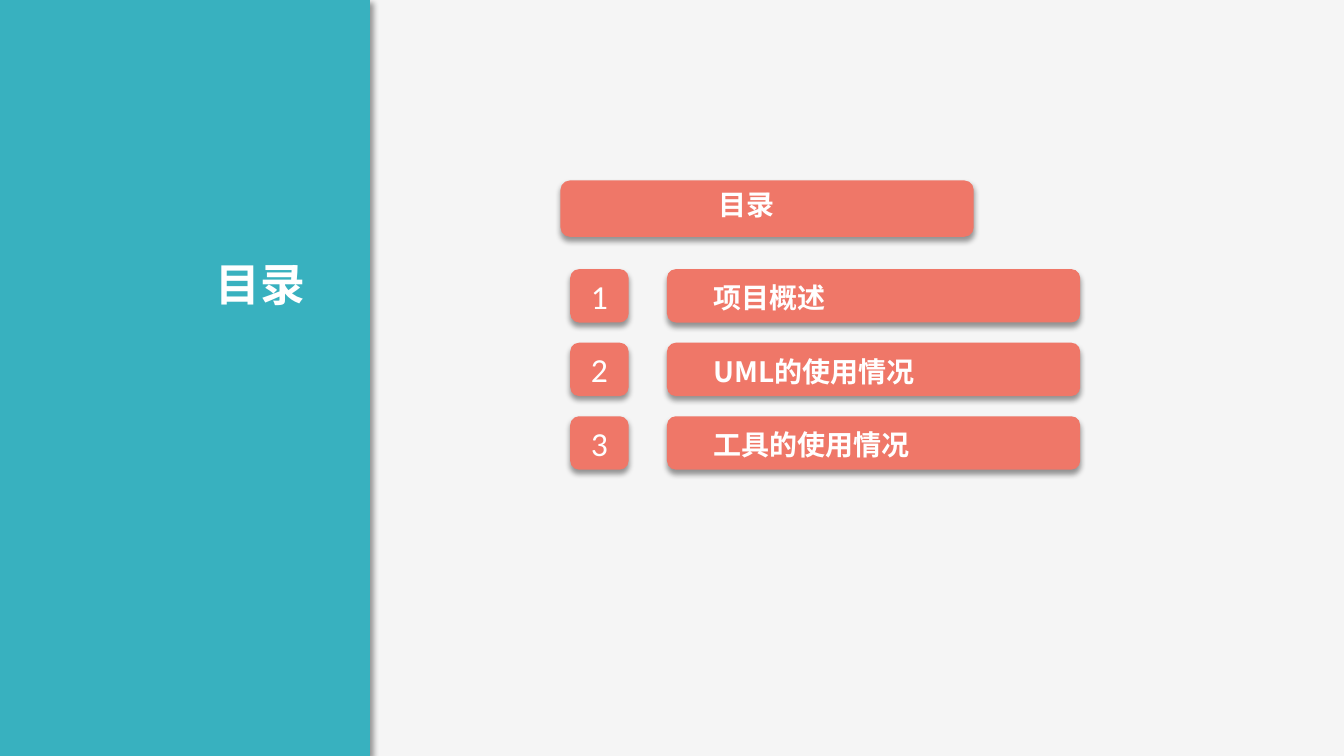
from lxml.etree import SubElement
from pptx import Presentation
from pptx.dml.color import RGBColor
from pptx.enum.shapes import MSO_SHAPE
from pptx.enum.text import MSO_ANCHOR, MSO_AUTO_SIZE, PP_ALIGN
from pptx.oxml.ns import qn
from pptx.util import Inches, Pt

COLORS = {"ground": "F5F5F5", "panel": "38B1BF", "bar": "EF7768",
          "text": "FFFFFF", "shadow": "000000"}
HEADING_FONT = "Noto Sans CJK SC"
NUMBER_FONT = "Calibri"
COLUMNS, ROWS = 40, 30


class ContentsSlide:
    """Draws the parts of a contents slide on a grid of 40 columns and 30 rows."""

    def __init__(self, deck):
        self.column = deck.slide_width / COLUMNS
        self.row = deck.slide_height / ROWS
        self.slide = deck.slides.add_slide(deck.slide_layouts[5])
        self.shapes = self.slide.shapes
        ground = self.slide.background.fill
        ground.solid()
        ground.fore_color.rgb = self.color("ground")

    def color(self, name):
        return RGBColor.from_string(COLORS[name])

    def place(self, left, top, width, height):
        return (round(left * self.column), round(top * self.row),
                round(width * self.column), round(height * self.row))

    def block(self, parent, preset, area, color, angle):
        block = parent.add_shape(preset, *self.place(*area))
        block.fill.solid()
        block.fill.fore_color.rgb = self.color(color)
        block.line.fill.background()
        block.shadow.inherit = False
        effects = block._element.spPr.find(qn("a:effectLst"))
        cast = SubElement(effects, qn("a:outerShdw"), blurRad=str(Pt(4)),
                          dist=str(Pt(3)), dir=str(angle * 60000),
                          algn="ctr", rotWithShape="0")
        tint = SubElement(cast, qn("a:srgbClr"), val=COLORS["shadow"])
        SubElement(tint, qn("a:alpha"), val="40000")
        return block

    def letter(self, holder, words, size, font, align, anchor, bold=True):
        frame = holder.text_frame
        frame.word_wrap = True
        frame.vertical_anchor = anchor
        frame.margin_left = frame.margin_right = Inches(0.13)
        frame.margin_top = frame.margin_bottom = Inches(0.07)
        paragraph = frame.paragraphs[0]
        paragraph.alignment = align
        run = paragraph.add_run()
        run.text = words
        run.font.size = Pt(size)
        run.font.bold = bold
        run.font.name = font
        run.font.color.rgb = self.color("text")
        SubElement(run._r.get_or_add_rPr(), qn("a:ea"), typeface=font)

    def panel(self, *area):
        self.block(self.shapes, MSO_SHAPE.RECTANGLE, area, "panel", 45)

    def title(self, words, *area):
        title = self.shapes.title
        title.left, title.top, title.width, title.height = self.place(*area)
        self.letter(title, words, 32, HEADING_FONT, PP_ALIGN.RIGHT, MSO_ANCHOR.TOP)
        title.text_frame.auto_size = MSO_AUTO_SIZE.SHAPE_TO_FIT_TEXT
        self.shapes._spTree.append(title._element)

    def number(self, value, *area):
        badge = self.block(self.shapes, MSO_SHAPE.ROUNDED_RECTANGLE, area, "bar", 90)
        self.letter(badge, str(value), 24, NUMBER_FONT, PP_ALIGN.CENTER,
                    MSO_ANCHOR.MIDDLE, bold=False)

    def bar(self, words, area, label_area, align=PP_ALIGN.LEFT):
        group = self.shapes.add_group_shape().shapes
        self.block(group, MSO_SHAPE.ROUNDED_RECTANGLE, area, "bar", 90)
        label = group.add_textbox(*self.place(*label_area))
        self.letter(label, words, 20, HEADING_FONT, align, MSO_ANCHOR.TOP)
        label.text_frame.auto_size = MSO_AUTO_SIZE.SHAPE_TO_FIT_TEXT


def main():
    deck = Presentation()
    deck.slide_width, deck.slide_height = Inches(13.33), Inches(7.5)
    contents = ContentsSlide(deck)
    contents.panel(-0.36, 0, 11.37, ROWS)
    contents.title("目录", 0.27, 9.92, 9.21, 2.68)
    contents.bar("目录", (16.68, 7.16, 12.3, 2.24), (17.88, 7.16, 8.7, 1.88),
                 PP_ALIGN.CENTER)
    first_row, pitch, bar_height = 10.68, 2.92, 2.12
    chapters = ["项目概述", "UML的使用情况", "工具的使用情况"]
    for index, chapter in enumerate(chapters):
        top = first_row + index * pitch
        contents.number(index + 1, 16.97, top, 1.74, bar_height)
        contents.bar(chapter, (19.85, top, 12.3, bar_height),
                     (20.85, top + 0.18, 8.7, 1.88))
    deck.save("out.pptx")


if __name__ == "__main__":
    main()
